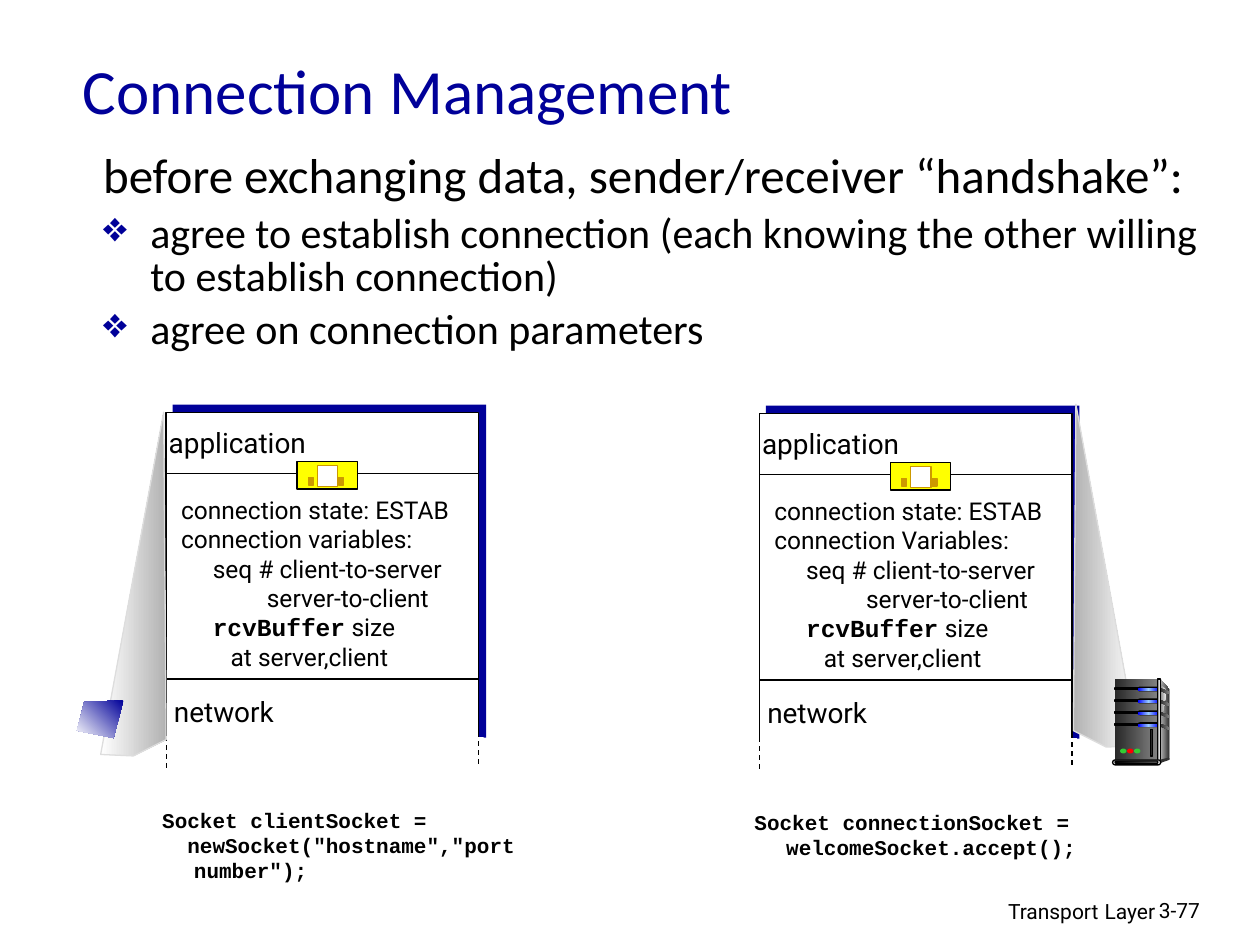
from copy import deepcopy

from lxml import etree
from pptx import Presentation
from pptx.dml.color import RGBColor
from pptx.enum.dml import MSO_LINE
from pptx.enum.shapes import MSO_CONNECTOR, MSO_SHAPE
from pptx.enum.text import MSO_ANCHOR, PP_ALIGN
from pptx.oxml.ns import qn
from pptx.util import Cm, Pt

RECT, PILL, OVAL = MSO_SHAPE.RECTANGLE, MSO_SHAPE.ROUNDED_RECTANGLE, MSO_SHAPE.OVAL
STRAIGHT, DASH = MSO_CONNECTOR.STRAIGHT, MSO_LINE.DASH
CENTER, RIGHT = PP_ALIGN.CENTER, PP_ALIGN.RIGHT
TOP, MIDDLE = MSO_ANCHOR.TOP, MSO_ANCHOR.MIDDLE

BLACK, WHITE = RGBColor(0, 0, 0), RGBColor(255, 255, 255)
NAVY = RGBColor(0x00, 0x00, 0x99)
YELLOW, OCHRE = RGBColor(0xFF, 0xFF, 0x00), RGBColor(0xCC, 0x99, 0x00)
CHARCOAL, DARK = RGBColor(0x29, 0x29, 0x29), RGBColor(0x33, 0x33, 0x33)
GRAY, SILVER = RGBColor(0x80, 0x80, 0x80), RGBColor(0xB2, 0xB2, 0xB2)
PALE, FROST = RGBColor(0xDD, 0xDD, 0xDD), RGBColor(0xF8, 0xF8, 0xF8)
BLUE, SKY = RGBColor(0x00, 0x00, 0xFF), RGBColor(0x99, 0xCC, 0xFF)
GREEN, RED = RGBColor(0x33, 0xCC, 0x33), RGBColor(0xFF, 0x00, 0x00)

TITLE = {"name": "Calibri", "size": Pt(36)}
LEAD = {"name": "Calibri", "size": Pt(28)}
POINT = {"name": "Calibri", "size": Pt(24)}
LABEL = {"name": "Roboto", "size": Pt(16)}
STATE = {"name": "Roboto", "size": Pt(14)}
FOOTER = {"name": "Roboto", "size": Pt(12)}
BUFFER = {"name": "Courier New", "size": Pt(14), "bold": True}
CODE = {"name": "Courier New", "size": Pt(12), "bold": True}


def paint(shape, fill, line=None, angle=0):
    """Fill with one colour, or with a gradient when fill is a list of colours."""
    shape.shadow.inherit = False
    if isinstance(fill, list):
        shape.fill.gradient()
        shape.fill.gradient_angle = angle
        stop_list = shape.element.spPr.find(".//" + qn("a:gsLst"))
        for _ in fill[2:]:
            stop_list.append(deepcopy(stop_list[0]))
        for index, (stop, color) in enumerate(zip(shape.fill.gradient_stops, fill)):
            stop.position = index / (len(fill) - 1)
            stop.color.rgb = color
    else:
        shape.fill.solid()
        shape.fill.fore_color.rgb = fill
    if line is None:
        shape.line.fill.background()
    else:
        shape.line.color.rgb = line
        shape.line.width = Pt(0.75)


def add_block(shapes, place, fill, line=None, kind=RECT):
    block = shapes.add_shape(kind, *map(Cm, place))
    if kind == PILL:
        block.adjustments[0] = 0.5
    paint(block, fill, line)


def add_polygon(shapes, points, fill, line=None, angle=0):
    corners = [(Cm(x), Cm(y)) for x, y in points]
    builder = shapes.build_freeform(*corners[0])
    builder.add_line_segments(corners[1:], close=True)
    paint(builder.convert_to_shape(), fill, line, angle)


def add_line(shapes, start, end, dash=None):
    line = shapes.add_connector(STRAIGHT, *map(Cm, start + end))
    line.line.color.rgb = BLACK
    line.line.width = Pt(0.75)
    line.line.dash_style = dash
    etree.SubElement(line._element.spPr, qn("a:effectLst"))


def paragraph(*runs, margin=0, indent=0, bullet=None, **layout):
    return {"runs": runs, "margin": margin, "indent": indent, "bullet": bullet, "layout": layout}


def add_bullet(properties, bullet):
    color = etree.SubElement(properties, qn("a:buClr"))
    etree.SubElement(color, qn("a:srgbClr"), val=str(NAVY))
    etree.SubElement(properties, qn("a:buChar"), char=bullet)


def add_text(shapes, place, paragraphs, color=BLACK, wrap=True, anchor=TOP):
    frame = shapes.add_textbox(*map(Cm, place)).text_frame
    frame.word_wrap = wrap
    frame.vertical_anchor = anchor
    for index, content in enumerate(paragraphs):
        para = frame.add_paragraph() if index else frame.paragraphs[0]
        properties = para._p.get_or_add_pPr()
        properties.set("marL", str(int(Cm(content["margin"]))))
        properties.set("indent", str(int(Cm(content["indent"]))))
        if content["bullet"]:
            add_bullet(properties, content["bullet"])
        for name, value in content["layout"].items():
            setattr(para, name, value)
        for text, style in content["runs"]:
            span = para.add_run()
            span.text = text
            span.font.color.rgb = color
            for name, value in style.items():
                setattr(span.font, name, value)


def add_socket(shapes, left, top):
    group = shapes.add_group_shape().shapes
    add_block(group, (left, top, 1.22, 0.56), YELLOW, BLACK)
    add_block(group, (left + 0.41, top + 0.08, 0.41, 0.43), WHITE, OCHRE)
    for offset in (0.23, 0.84):
        add_block(group, (left + offset, top + 0.33, 0.1, 0.15), OCHRE, OCHRE)


def add_host(shapes, left, top, variables, reverse_margin):
    """Draw one protocol stack with its connection state."""
    right = left + 6.3
    add_block(shapes, (left + 0.13, top - 0.15, 6.32, 6.71), NAVY)
    add_block(shapes, (left, top, 6.3, 6.86), WHITE, BLACK)
    for offset in (1.23, 5.38):
        add_line(shapes, (left, top + offset), (right, top + offset))
    add_text(shapes, (left + 0.05, top + 1.54, 6.48, 4.42), [
        paragraph(("connection state: ESTAB", STATE)),
        paragraph((variables, STATE)),
        paragraph(("seq # client-to-server", STATE), margin=0.64),
        paragraph(("server-to-client", STATE), margin=reverse_margin),
        paragraph(("rcvBuffer", BUFFER), (" size", STATE), margin=0.64),
        paragraph(("at server,client", STATE), margin=1),
    ])
    add_socket(shapes, left + 2.64, top + 0.99)
    for text, x, y, width in (("application", -0.28, 0.15, 3.43), ("network", -0.18, 5.56, 2.69)):
        add_text(shapes, (left + x, top + y, width, 0.94),
                 [paragraph((text, LABEL), alignment=CENTER)], wrap=False)
    add_block(shapes, (left - 0.08, top + 6.55, 6.48, 0.51), WHITE)
    for x, y in ((left, top + 6.53), (right, top + 6.45)):
        add_line(shapes, (x, y), (x, y + 0.66), DASH)


def add_server(shapes):
    group = shapes.add_group_shape().shapes
    add_polygon(group, [(23.39, 13.69), (23.57, 13.89), (23.57, 15.27), (23.34, 15.34)], [PALE, DARK])
    add_block(group, (22.48, 13.69, 0.84, 1.65), [CHARCOAL, GRAY])
    add_polygon(group, [(23.39, 13.79), (23.52, 13.92), (23.4, 14.6), (23.39, 15.29)], [GRAY, FROST])
    for bay in range(4):
        y = 13.87 + 0.24 * bay
        add_block(group, (22.48, y, 0.48, 0.03), BLACK, BLACK)
        add_block(group, (22.93, y - 0.03, 0.46, 0.1), BLACK, kind=PILL)
        add_block(group, (22.94, y, 0.43, 0.07), [BLUE, SKY, BLUE], kind=PILL)
        add_polygon(group, [(23.38, y), (23.57, y + 0.07), (23.57, y + 0.13), (23.38, y + 0.05)],
                    [CHARCOAL, GRAY])
    add_block(group, (23.34, 13.69, 0.05, 1.65), [DARK, PALE, DARK], BLACK)
    add_block(group, (23.55, 15.27, 0.03, 0.05), DARK, kind=OVAL)
    add_polygon(group, [(23.37, 15.32), (23.37, 15.39), (23.57, 15.32), (23.57, 15.27)], DARK)
    add_block(group, (22.43, 15.32, 0.97, 0.1), PALE, BLACK, PILL)
    add_block(group, (22.48, 15.34, 0.86, 0.05), [BLACK, GRAY], BLACK, PILL)
    for index, color in enumerate((GREEN, RED, GREEN)):
        add_block(group, (22.58 + 0.14 * index, 15.09, 0.13, 0.1), color, kind=OVAL)
    add_block(group, (23.19, 14.71, 0.05, 0.53), CHARCOAL, BLACK)


def main():
    deck = Presentation()
    deck.slide_width, deck.slide_height = Cm(25.4), Cm(19.05)
    shapes = deck.slides.add_slide(deck.slide_layouts[6]).shapes

    add_text(shapes, (15.49, 17.91, 8.05, 0.79), [paragraph(
        ("Transport", FOOTER), (" ", STATE), ("Layer", FOOTER), alignment=RIGHT)])
    add_text(shapes, (23.11, 17.96, 1.88, 0.76), [paragraph(("3-77", FOOTER))])
    add_text(shapes, (1.42, 0.53, 21.59, 2.54), [paragraph(("Connection Management", TITLE))],
             color=NAVY, anchor=MIDDLE)
    hanging = {"margin": 0.95, "indent": -0.95, "line_spacing": 0.85}
    point = {**hanging, "bullet": "❖", "space_before": Pt(6)}
    add_text(shapes, (1.83, 2.97, 23.16, 6.07), [
        paragraph(("before exchanging data, sender/receiver “handshake”:", LEAD), **hanging),
        paragraph(("agree to establish connection (each knowing the other willing "
                   "to establish connection)", POINT), **point),
        paragraph(("agree on connection parameters", POINT), **point),
    ])

    add_host(shapes, 3.35, 8.31, "connection variables:", 1.73)
    add_polygon(shapes, [(2.03, 15.21), (3.3, 8.31), (3.35, 14.91), (2.69, 15.24)],
                [WHITE, SILVER], PALE)
    add_host(shapes, 15.31, 8.33, "connection Variables:", 1.85)
    add_polygon(shapes, [(22.94, 15.04), (21.69, 8.15), (21.64, 14.73), (22.3, 15.06)],
                [SILVER, WHITE], PALE)

    code = {"margin": 0.64, "indent": -0.64}
    add_text(shapes, (3.02, 16.15, 8.03, 1.78), [
        paragraph(("Socket clientSocket =", CODE), **code),
        paragraph(('  newSocket("hostname","port number");', CODE), **code),
    ])
    add_text(shapes, (14.96, 16.2, 8.03, 1.27), [
        paragraph(("Socket connectionSocket = welcomeSocket.accept();", CODE), **code)])

    add_polygon(shapes, [(2.49, 14.12), (1.7, 14.15), (1.55, 14.73), (2.29, 14.88)],
                [NAVY, WHITE], angle=225)
    add_server(shapes)
    deck.save("out.pptx")


if __name__ == "__main__":
    main()
